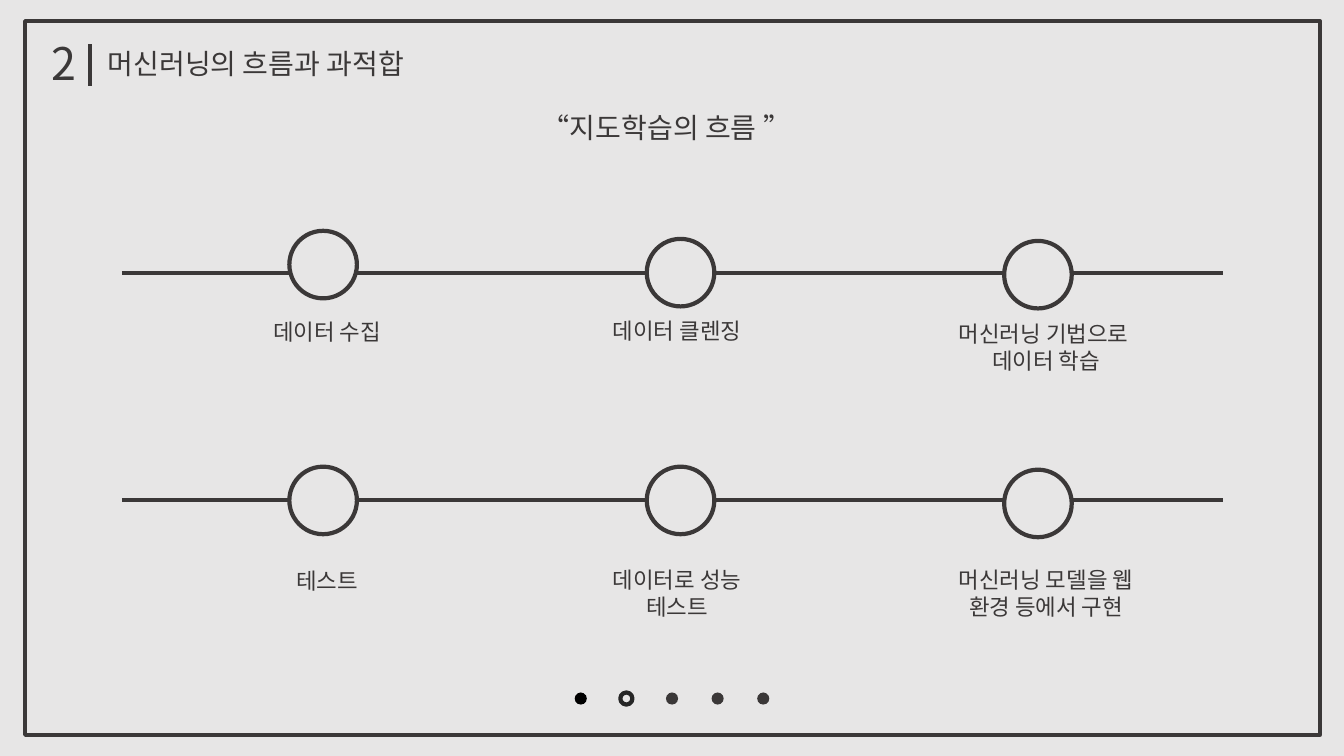
from pptx import Presentation
from pptx.dml.color import RGBColor
from pptx.enum.shapes import MSO_CONNECTOR as Conn, MSO_SHAPE as Shape
from pptx.enum.text import PP_ALIGN as Align
from pptx.oxml.ns import qn
from pptx.util import Inches, Pt
from lxml import etree

# Content
SECTION = ("2", "머신러닝의 흐름과 과적합")
HEADING = "“지도학습의 흐름 ”"
# Each row: line y, then steps as (text, circle top, label left, top, width, height)
ROWS = [
    (2.71, [("데이터 수집", 2.29, 2.29, 3.11, 1.91, 0.37),
            ("데이터 클렌징", 2.37, 5.76, 3.10, 1.91, 0.37),
            ("머신러닝 기법으로 \n데이터 학습", 2.39, 9.33, 3.13, 2.09, 0.64)]),
    (4.96, [("테스트", 4.63, 2.29, 5.58, 1.91, 0.37),
            ("데이터로 성능 테스트", 4.63, 5.76, 5.57, 1.91, 0.64),
            ("머신러닝 모델을 웹 환경 등에서 구현", 4.66, 9.24, 5.57, 2.27, 0.64)]),
]
# Page dots as (fill, line)
DOTS = [("black", None), (None, "ring"), ("ink", None), ("ink", None), ("ink", None)]

COLORS = {"paper": "E7E6E6", "ink": "3B3838", "ring": "262626", "black": "000000"}
FONT = "Noto Sans CJK KR"
STROKE = Pt(3)
CIRCLE, CIRCLE_LEFT, CIRCLE_STEP = 0.67, 2.87, 3.545
DOT, DOT_LEFT, DOT_TOP, DOT_STEP = 0.12, 5.70, 6.87, 0.4525


def rgb(name):
    return RGBColor.from_string(COLORS[name])


def add_shape(kind, left, top, width, height, fill=None, line=None):
    sp = s.shapes.add_shape(kind, *map(Inches, (left, top, width, height)))
    sp.shadow.inherit = False
    if fill:
        sp.fill.solid()
        sp.fill.fore_color.rgb = rgb(fill)
    else:
        sp.fill.background()
    if line:
        sp.line.color.rgb = rgb(line)
        sp.line.width = STROKE
    else:
        sp.line.fill.background()


def add_line(x1, y1, x2, y2):
    ln = s.shapes.add_connector(Conn.STRAIGHT, *map(Inches, (x1, y1, x2, y2)))
    ln.line.color.rgb = rgb("ink")
    ln.line.width = STROKE
    etree.SubElement(ln._element.spPr, qn("a:effectLst"))


def add_text(text, left, top, width, height, size, align=Align.CENTER):
    tf = s.shapes.add_textbox(*map(Inches, (left, top, width, height))).text_frame
    tf.word_wrap = True
    tf.text = text
    for p in tf.paragraphs:
        p.alignment = align
        for r in p.runs:
            r.font.size = Pt(size)
            r.font.name = FONT
            r.font.color.rgb = rgb("ink")
            ea = etree.SubElement(r.font._element, qn("a:ea"))
            ea.set("typeface", FONT)


prs = Presentation()
prs.slide_width, prs.slide_height = Inches(13.33), Inches(7.5)
s = prs.slides.add_slide(prs.slide_layouts[6])
s.background.fill.solid()
s.background.fill.fore_color.rgb = rgb("paper")

# Frame and section title
add_shape(Shape.RECTANGLE, 0.25, 0.21, 12.84, 7.08, line="ink")
number, title = SECTION
add_text(number, 0.41, 0.31, 0.56, 0.64, 32, Align.LEFT)
add_text(title, 0.97, 0.41, 4.76, 0.44, 20, Align.LEFT)
add_line(0.89, 0.44, 0.89, 0.85)
add_text(HEADING, 5.12, 1.05, 2.98, 0.44, 20)

# Two timelines of three steps
for line_y, steps in ROWS:
    add_line(1.21, line_y, 12.13, line_y)
    for col, (text, circle_top, *box) in enumerate(steps):
        add_shape(Shape.OVAL, CIRCLE_LEFT + col * CIRCLE_STEP, circle_top,
                  CIRCLE, CIRCLE, fill="paper", line="ink")
        add_text(text, *box, 16)

# Page dots
for i, (fill, line) in enumerate(DOTS):
    add_shape(Shape.OVAL, DOT_LEFT + i * DOT_STEP, DOT_TOP, DOT, DOT, fill, line)

prs.save("out.pptx")
